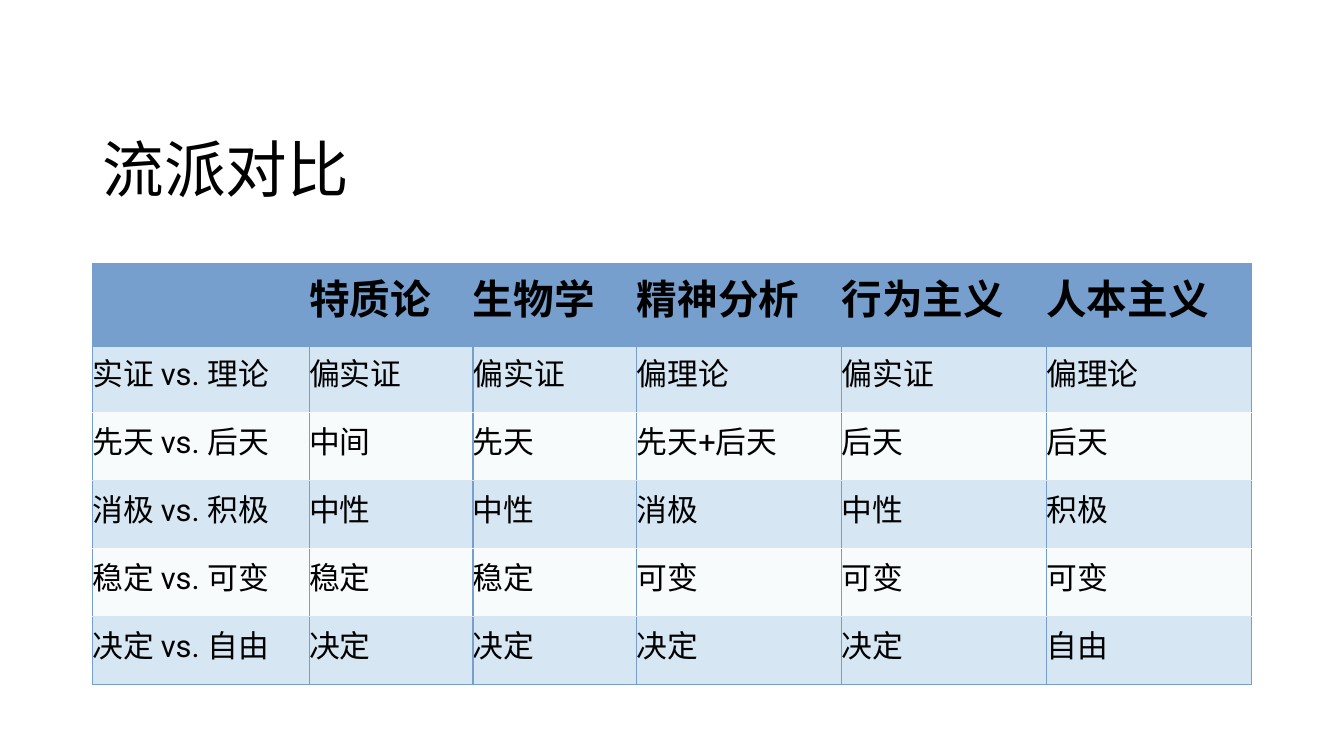
from lxml.etree import SubElement
from pptx import Presentation
from pptx.dml.color import RGBColor
from pptx.enum.text import MSO_ANCHOR, PP_ALIGN
from pptx.oxml import parse_xml
from pptx.oxml.ns import nsdecls, qn
from pptx.util import Cm, Pt

COLOURS = {"text": "000000", "blue": "769FCD", "light": "D6E6F2", "pale": "F7FBFC"}

HEADINGS = ["", "特质论", "生物学", "精神分析", "行为主义", "人本主义"]
COMPARISONS = [
    ["实证 vs. 理论", "偏实证", "偏实证", "偏理论", "偏实证", "偏理论"],
    ["先天 vs. 后天", "中间", "先天", "先天+后天", "后天", "后天"],
    ["消极 vs. 积极", "中性", "中性", "消极", "中性", "积极"],
    ["稳定 vs. 可变", "稳定", "稳定", "可变", "可变", "可变"],
    ["决定 vs. 自由", "决定", "决定", "决定", "决定", "自由"],
]
COLUMN_WIDTHS = [5.46, 4.13, 4.13, 5.16, 5.16, 5.16]
HEADER_HEIGHT, BODY_HEIGHT = 1.96, 1.7

# Horizontal rules from top to bottom: colour and width in points
RULES = [("blue", 0.75), ("blue", 3), ("pale", 0.75), ("light", 1),
         ("pale", 0.75), ("light", 1), ("blue", 1)]
SIDE_RULE = ("blue", 1)


class ComparisonSlide:
    latin_font = "Roboto"
    asian_font = "Noto Sans CJK SC"

    def __init__(self, deck):
        self.page = deck.slides.add_slide(deck.slide_layouts[5])

    def add_span(self, para, text, size, font_name, bold=False):
        span = para.add_run()
        span.text = text
        span.font.size = Pt(size)
        span.font.bold = bold
        span.font.color.rgb = RGBColor.from_string(COLOURS["text"])
        span.font.name = font_name
        SubElement(span.font._element, qn("a:ea"), typeface=self.asian_font)

    def set_title(self, text, left, top, width, height):
        box = self.page.shapes.title
        box.left, box.top, box.width, box.height = Cm(left), Cm(top), Cm(width), Cm(height)
        box.text_frame.vertical_anchor = MSO_ANCHOR.MIDDLE
        para = box.text_frame.paragraphs[0]
        para.alignment = PP_ALIGN.LEFT
        para.line_spacing = 0.9
        self.add_span(para, text, 44, self.asian_font)

    def set_borders(self, cell, top, bottom):
        properties = cell._tc.get_or_add_tcPr()
        sides = [("L", SIDE_RULE), ("R", SIDE_RULE), ("T", top), ("B", bottom)]
        for position, (side, (colour, width)) in enumerate(sides):
            properties.insert(position, parse_xml(
                f'<a:ln{side} {nsdecls("a")} w="{Pt(width)}"><a:solidFill>'
                f'<a:srgbClr val="{COLOURS[colour]}"/></a:solidFill></a:ln{side}>'))

    def fill_cell(self, cell, text, row):
        header = row == 0
        colour = "blue" if header else "light" if row % 2 else "pale"
        cell.fill.solid()
        cell.fill.fore_color.rgb = RGBColor.from_string(COLOURS[colour])
        cell.margin_left = 0
        cell.margin_top = Cm(0.1 if header else 0.13)
        cell.margin_right = cell.margin_bottom = Cm(0.46)
        cell.vertical_anchor = MSO_ANCHOR.BOTTOM if header else MSO_ANCHOR.MIDDLE
        if text:
            self.add_span(cell.text_frame.paragraphs[0], text,
                          29 if header else 22, self.latin_font, header)
        self.set_borders(cell, RULES[row], RULES[row + 1])

    def add_table(self, rows, left, top):
        heights = [HEADER_HEIGHT] + [BODY_HEIGHT] * (len(rows) - 1)
        table = self.page.shapes.add_table(
            len(rows), len(COLUMN_WIDTHS), Cm(left), Cm(top),
            Cm(sum(COLUMN_WIDTHS)), Cm(sum(heights))).table
        table.horz_banding = False
        for column, width in zip(table.columns, COLUMN_WIDTHS):
            column.width = Cm(width)
        for row, (texts, height) in enumerate(zip(rows, heights)):
            table.rows[row].height = Cm(height)
            for column, text in enumerate(texts):
                self.fill_cell(table.cell(row, column), text, row)


def main():
    deck = Presentation()
    deck.slide_width, deck.slide_height = Cm(33.87), Cm(19.05)
    slide = ComparisonSlide(deck)
    # Title
    slide.set_title("流派对比", 2.33, 2.5, 29.2, 3.68)
    # Comparison of the schools
    slide.add_table([HEADINGS] + COMPARISONS, 2.33, 6.64)
    deck.save("out.pptx")


if __name__ == "__main__":
    main()
